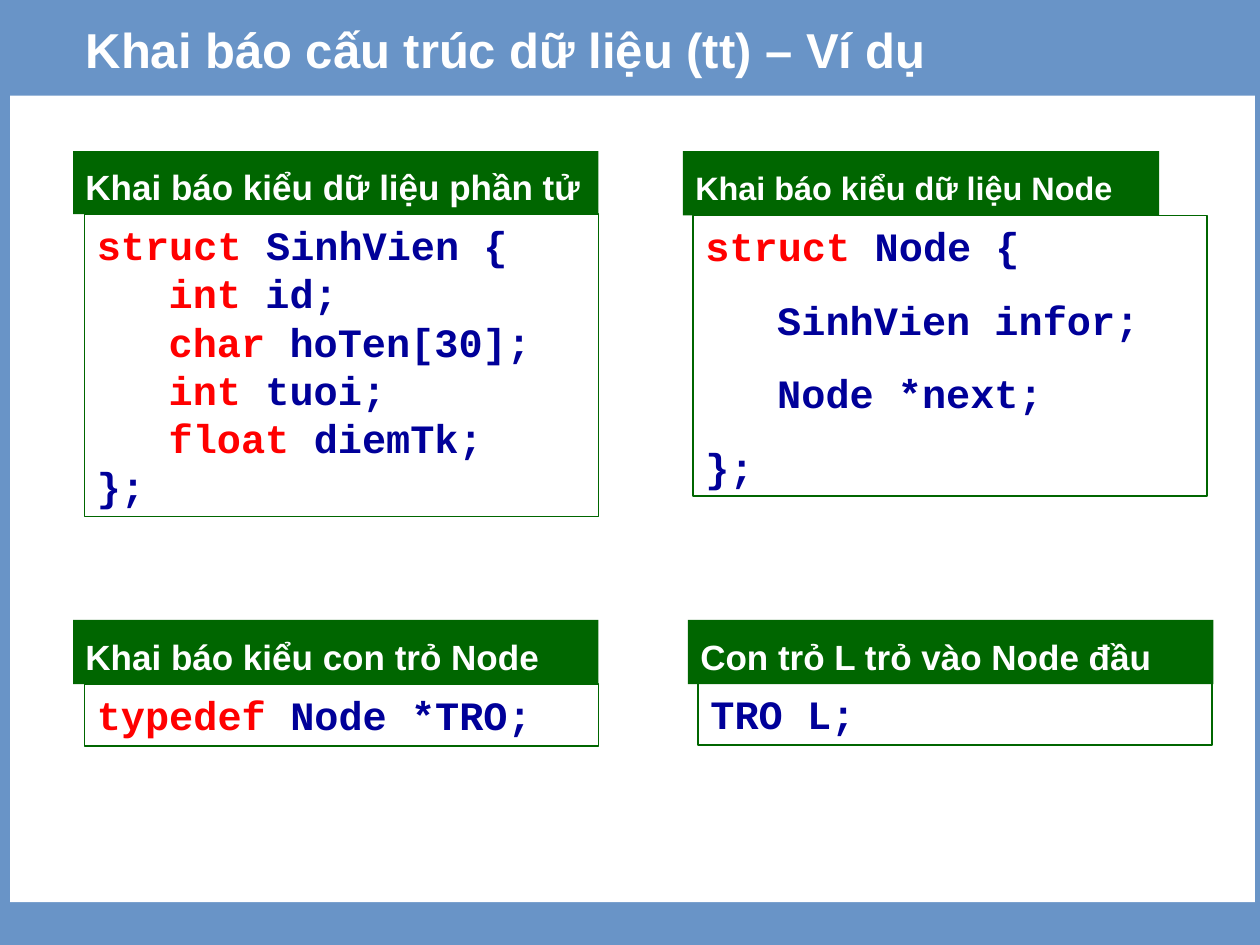
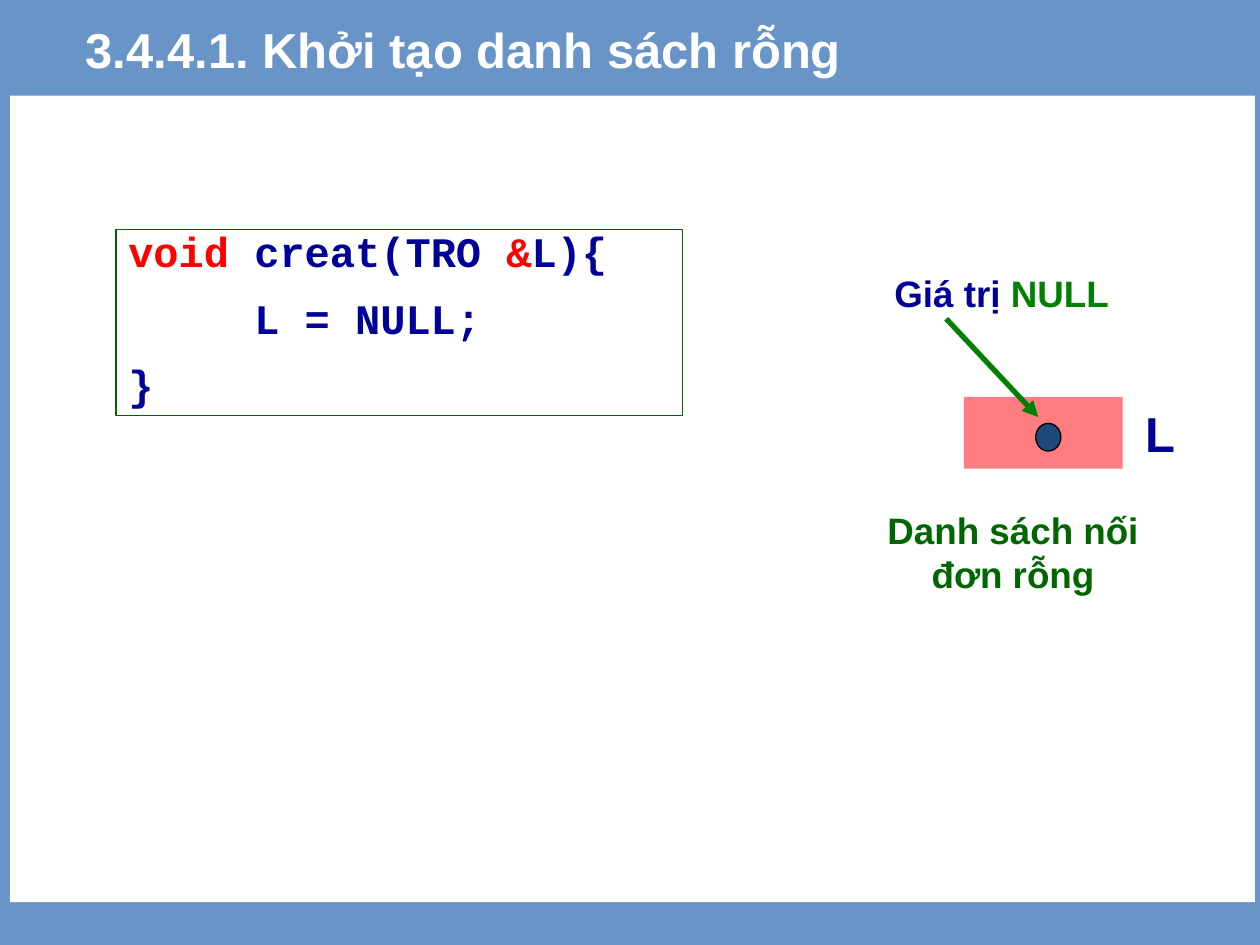
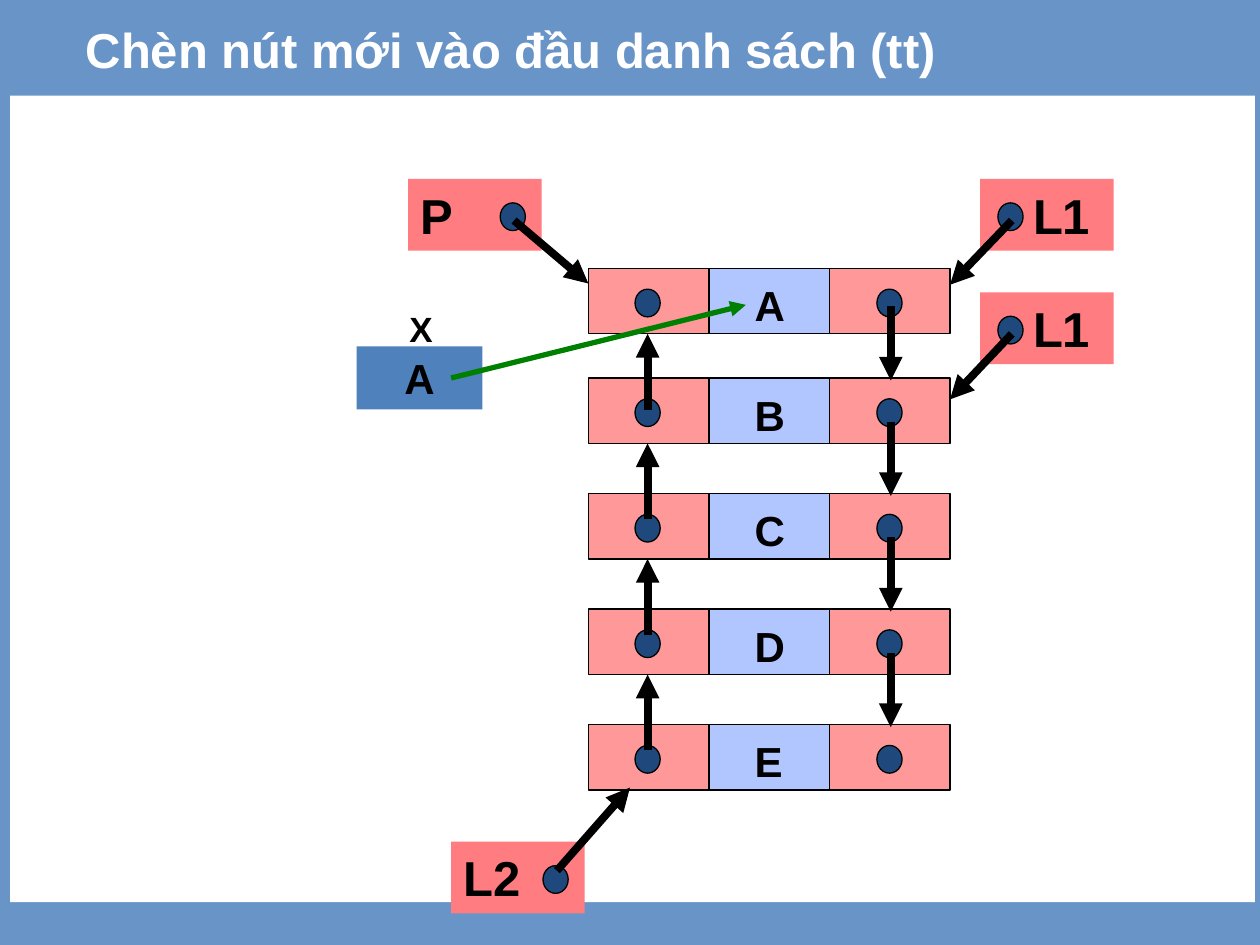
from lxml.etree import SubElement
from pptx import Presentation
from pptx.dml.color import RGBColor
from pptx.enum.shapes import MSO_CONNECTOR, MSO_SHAPE
from pptx.enum.text import MSO_ANCHOR, MSO_AUTO_SIZE, PP_ALIGN
from pptx.oxml.ns import qn
from pptx.util import Inches, Pt

RECT, OVAL = MSO_SHAPE.RECTANGLE, MSO_SHAPE.OVAL
LINE = MSO_CONNECTOR.STRAIGHT
TOP, MIDDLE = MSO_ANCHOR.TOP, MSO_ANCHOR.MIDDLE
LEFT, CENTER = PP_ALIGN.LEFT, PP_ALIGN.CENTER
FIXED = MSO_AUTO_SIZE.NONE

BLUE, WHITE, BLACK, RED = "6994C7", "FFFFFF", "000000", "FF0000"
NAVY, GREEN, LEAF = "000099", "006600", "008000"
CORAL, PINK, LILAC, DOT, STEEL = "FF7C80", "FF9999", "B1C5FF", "1F497D", "4F81BD"
SANS, MONO = "Arial", "Courier New"

# In texts, |bars| enclose accented words and a leading tab marks an indented line.
TITLES = [
    "Khai báo cấu trúc dữ liệu (tt) – Ví dụ",
    "3.4.4.1. Khởi tạo danh sách rỗng",
    "Chèn nút mới vào đầu danh sách (tt)",
]

# heading, size, heading place, code place, space before, code lines
DECLS = [
    ("Khai báo kiểu dữ liệu phần tử", 20, (0.58, 1.2, 4.17, 0.5),
     (0.67, 1.7, 4.08, 2.4), 0,
     ["|struct| SinhVien {", "\t|int| id;", "\t|char| hoTen[30];",
      "\t|int| tuoi;", "\t|float| diemTk;", "};"]),
    ("Khai báo kiểu dữ liệu Node", 18.5, (5.42, 1.2, 3.78, 0.51),
     (5.5, 1.71, 4.08, 2.23), 14.4,
     ["|struct| Node {", "\tSinhVien infor;", "\tNode *next;", "};"]),
    ("Khai báo kiểu con trỏ Node", 20, (0.58, 4.92, 4.17, 0.51),
     (0.67, 5.43, 4.08, 0.49), 14.4, ["|typedef| Node *TRO;"]),
    ("Con trỏ L trỏ vào Node đầu", 20, (5.46, 4.92, 4.17, 0.51),
     (5.54, 5.42, 4.08, 0.49), 14.4, ["TRO L;"]),
]

CREATE = ["|void| creat(TRO |&|L){", "\tL = NULL;", "}"]

# text, size, colour, place, alignment
NOTES = [
    ("Danh sách nối đơn rỗng", 21, GREEN, (6.75, 3.98, 2.58, 0.8), CENTER),
    ("Giá trị |NULL|", 21, NAVY, (7, 2.1, 2.01, 0.45), LEFT),
    ("L", 28, NAVY, (8.99, 3.15, 0.67, 0.57), LEFT),
]

NODES = "ABCDE"
FIRST, SECOND, PITCH = 2.13, 3, 0.917
NODE_X, CELL_W, CELL_H = 4.67, 0.957, 0.52

# name, text inset, box corner, dot offset, arrow start below dot top, arrow tip
POINTERS = [
    ("P", 0.1, (3.24, 1.42), 0.73, 0.14, (4.67, 2.25)),
    ("L1", 0.42, (7.78, 1.42), 0.14, 0.14, (7.54, 2.26)),
    ("L1", 0.42, (7.78, 2.32), 0.14, 0.14, (7.54, 3.17)),
    ("L2", 0.1, (3.58, 6.68), 0.73, 0.04, (5, 6.25)),
]


def rgb(color):
    return RGBColor.from_string(color)


def write(shape, lines, size, color, accent=RED, face=SANS, align=LEFT,
          anchor=TOP, before=0, spacing=1.0, indent=0, inset=0.1):
    frame = shape.text_frame
    form = dict(word_wrap=True, auto_size=FIXED, vertical_anchor=anchor,
                margin_left=Inches(inset), margin_right=Inches(0.1),
                margin_top=Inches(0.05), margin_bottom=Inches(0.05))
    for name, value in form.items():
        setattr(frame, name, value)
    for i, line in enumerate(lines):
        para = frame.add_paragraph() if i else frame.paragraphs[0]
        style = dict(alignment=align, space_before=Pt(before), line_spacing=spacing)
        for name, value in style.items():
            setattr(para, name, value)
        if line.startswith("\t"):
            props = para._p.get_or_add_pPr()
            props.set("marL", str(Inches(indent)))
            props.set("indent", "0")
        for j, part in enumerate(line.strip("\t").split("|")):
            if part:
                run = para.add_run()
                run.text = part
                for name, value in dict(name=face, size=Pt(size), bold=True).items():
                    setattr(run.font, name, value)
                run.font.color.rgb = rgb(accent if j % 2 else color)


def draw(slide, at, fill=None, line=None, width=0.75, kind=RECT):
    shape = slide.shapes.add_shape(kind, *map(Inches, at))
    shape.shadow.inherit = False
    if fill:
        shape.fill.solid()
        shape.fill.fore_color.rgb = rgb(fill)
    else:
        shape.fill.background()
    if line:
        shape.line.color.rgb = rgb(line)
        shape.line.width = Pt(width)
    else:
        shape.line.fill.background()
    return shape


def dot(slide, x, y):
    draw(slide, (x, y, 0.2, 0.22), DOT, BLACK, kind=OVAL)


def label(slide, text, size, color, at, **form):
    write(slide.shapes.add_textbox(*map(Inches, at)), [text], size, color, **form)


def arrow(slide, start, end, color=BLACK, width=4.5):
    link = slide.shapes.add_connector(LINE, *map(Inches, (*start, *end)))
    link.line.color.rgb = rgb(color)
    link.line.width = Pt(width)
    props = link.element.spPr
    SubElement(props.find(qn("a:ln")), qn("a:tailEnd"), type="triangle")
    SubElement(props, qn("a:effectLst"))


def start_slide(prs, text):
    slide = prs.slides.add_slide(prs.slide_layouts[5])
    title = slide.shapes.title
    for name, value in zip(("left", "top", "width", "height"), (0.58, 0.01, 9.19, 0.75)):
        setattr(title, name, Inches(value))
    write(title, [text], 28, WHITE, anchor=MIDDLE)
    draw(slide, (0.08, 0.76, 9.88, 6.4), WHITE)
    return slide


def show_decls(slide):
    for head, size, head_at, code_at, before, code in DECLS:
        box = draw(slide, code_at, line=GREEN, width=1)
        write(box, code, 23, NAVY, face=MONO, before=before, indent=0.57)
        bar = draw(slide, head_at, GREEN)
        write(bar, [head], size, WHITE, anchor=MIDDLE, before=5, spacing=1.2)


def show_empty(slide):
    draw(slide, (7.65, 3.15, 1.26, 0.57), CORAL)
    dot(slide, 8.22, 3.36)
    for text, size, color, at, align in NOTES:
        label(slide, text, size, color, at, accent=LEAF, align=align)
    arrow(slide, (7.51, 2.53), (8.24, 3.31), LEAF, 3)
    box = draw(slide, (0.92, 1.82, 4.5, 1.48), line=GREEN)
    write(box, CREATE, 24, NAVY, face=MONO, before=15, spacing=0.8, indent=1)


def show_list(slide):
    tops = [FIRST] + [SECOND + PITCH * i for i in range(len(NODES) - 1)]
    for name, top in zip(NODES, tops):
        for i, fill in enumerate((PINK, LILAC, PINK)):
            draw(slide, (NODE_X + i * CELL_W, top, CELL_W, CELL_H), fill, BLACK)
        for x in (5.04, 6.96):
            dot(slide, x, top + 0.165)
        label(slide, name, 24, BLACK, (5.89, top + 0.04, 0.42, 0.5))
    for top, below in zip(tops, tops[1:]):
        arrow(slide, (7.07, below - 0.57), (7.07, below + 0.02))
        base = top + CELL_H
        arrow(slide, (5.14, base + 0.6), (5.14, base))
    for name, inset, (x, y), shift, drop, tip in POINTERS:
        box = draw(slide, (x, y, 1.06, 0.57), CORAL)
        write(box, [name], 28, BLACK, inset=inset)
        dot(slide, x + shift, y + 0.19)
        arrow(slide, (x + shift + 0.11, y + 0.19 + drop), tip)
    write(draw(slide, (2.83, 2.75, 1, 0.5), STEEL), ["A"], 24, BLACK, align=CENTER)
    label(slide, "X", 20, BLACK, (3.15, 2.39, 0.33, 0.44))
    arrow(slide, (3.58, 3), (5.92, 2.42), LEAF, 3)


def main():
    prs = Presentation()
    prs.slide_width, prs.slide_height = Inches(10), Inches(7.5)
    back = prs.slide_master.background.fill
    back.solid()
    back.fore_color.rgb = rgb(BLUE)
    for text, show in zip(TITLES, (show_decls, show_empty, show_list)):
        show(start_slide(prs, text))
    prs.save("out.pptx")


if __name__ == "__main__":
    main()
